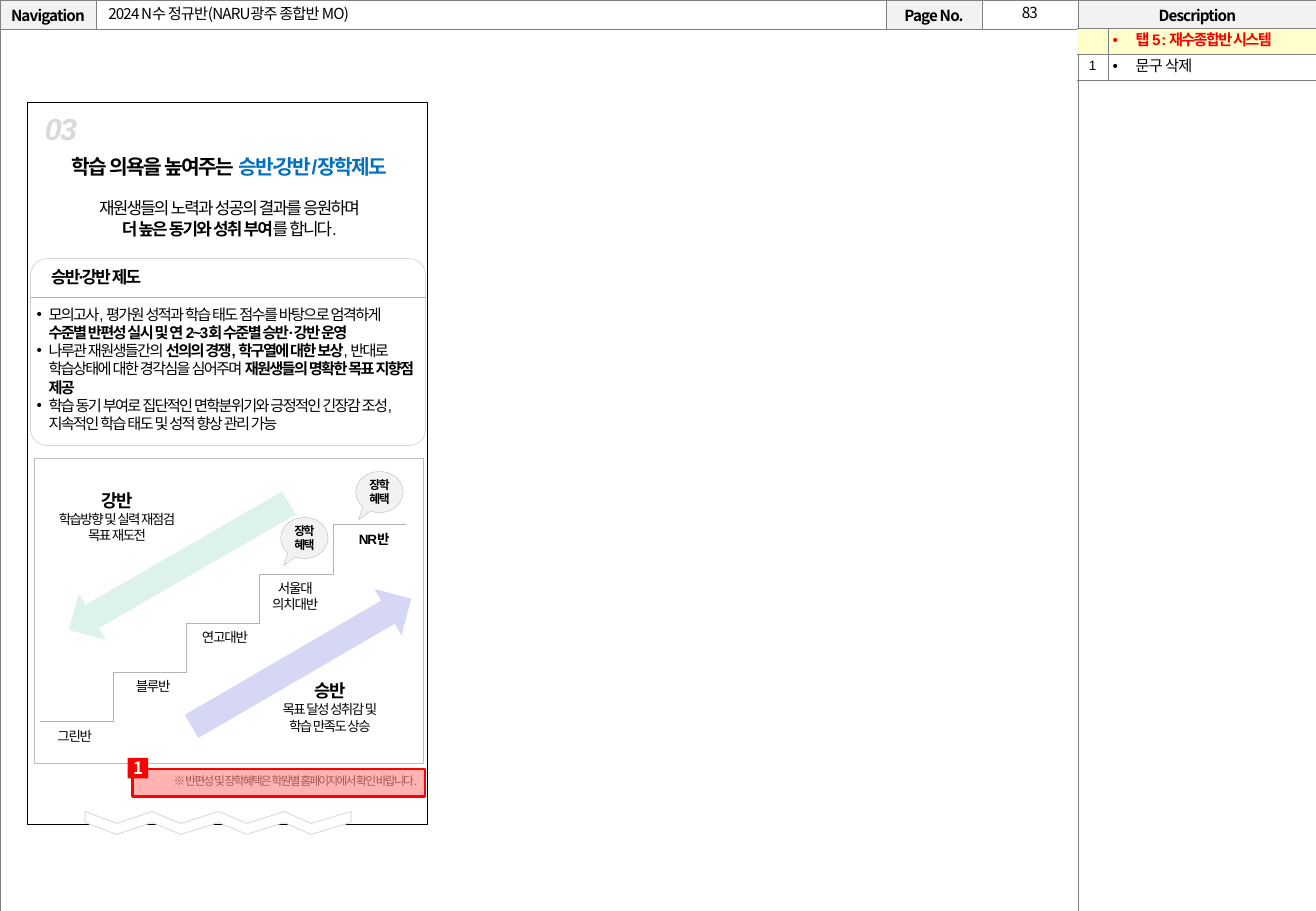
from dataclasses import dataclass
from typing import Optional, Sequence

from lxml.etree import SubElement
from pptx import Presentation
from pptx.dml.color import RGBColor
from pptx.enum.shapes import MSO_CONNECTOR, MSO_SHAPE
from pptx.enum.text import MSO_ANCHOR, MSO_AUTO_SIZE, PP_ALIGN
from pptx.oxml.ns import qn
from pptx.util import Cm, Pt

COLORS = {
    "black": "000000", "white": "FFFFFF", "header": "F2F2F2", "border": "808080",
    "panel": "BFBFBF", "stair": "B2B2B2", "up": "D6D6F5", "down": "DDF3EA",
    "blue": "0070C0", "red": "FF0000", "yellow": "FFFFCC", "pale": "D9D9D9",
}
NOTO = "Noto Sans CJK KR"
STAIR_LEFT, STAIR_BOTTOM, STEP_WIDTH, STEP_HEIGHT = 0.84, 15.09, 1.53, 1.03


@dataclass
class Run:
    text: str
    bold: Optional[bool] = None
    color: Optional[str] = None


@dataclass
class Line:
    runs: Sequence[Run]
    size: float
    bold: bool = False
    italic: bool = False
    color: str = "black"
    font: str = "Arial"
    spacing: float = -1
    align: PP_ALIGN = PP_ALIGN.CENTER
    before: float = 0
    line_spacing: Optional[float] = None
    indent: float = 0


@dataclass
class Box:
    left: float
    top: float
    width: float
    height: float

    def lengths(self) -> list:
        return [Cm(value) for value in (self.left, self.top, self.width, self.height)]


@dataclass
class StairLabel:
    left: float
    names: Sequence[str]
    bold: bool = False


@dataclass
class Direction:
    arrow: Box
    rotation: float
    color: str
    caption: Box
    texts: Sequence[str]


def rgb(name: str) -> RGBColor:
    return RGBColor.from_string(COLORS[name])


def plain(text: str, size: float, **options) -> Line:
    return Line([Run(text)], size, **options)


def write(frame, lines: Sequence[Line]) -> None:
    for index, line in enumerate(lines):
        paragraph = frame.paragraphs[0] if index == 0 else frame.add_paragraph()
        paragraph.alignment = line.align
        paragraph.space_before = Pt(line.before)
        if line.line_spacing:
            paragraph.line_spacing = line.line_spacing
        if line.indent:
            properties = paragraph._p.get_or_add_pPr()
            properties.set("marL", str(Cm(line.indent)))
            properties.set("indent", str(-Cm(line.indent)))
            SubElement(properties, qn("a:buFont")).set("typeface", "Arial")
            SubElement(properties, qn("a:buChar")).set("char", "•")
        font = paragraph.font
        font.name, font.size = line.font, Pt(line.size)
        font.bold, font.italic = line.bold, line.italic
        font.color.rgb = rgb(line.color)
        font._rPr.set("spc", str(round(line.spacing * 100)))
        SubElement(font._rPr, qn("a:ea")).set("typeface", line.font)
        for piece in line.runs:
            run = paragraph.add_run()
            run.text = piece.text
            if piece.bold is not None:
                run.font.bold = piece.bold
            if piece.color:
                run.font.color.rgb = rgb(piece.color)


def set_margins(target, side: float, end: float) -> None:
    target.margin_left = target.margin_right = Cm(side)
    target.margin_top = target.margin_bottom = Cm(end)


def add_text(slide, box: Box, lines: Sequence[Line]) -> None:
    frame = slide.shapes.add_textbox(*box.lengths()).text_frame
    frame.word_wrap = True
    write(frame, lines)


def paint(shape, fill: Optional[str], line: Optional[str], width: float = 0.25):
    shape.shadow.inherit = False
    if fill:
        shape.fill.solid()
        shape.fill.fore_color.rgb = rgb(fill)
    else:
        shape.fill.background()
    if line:
        shape.line.color.rgb = rgb(line)
        shape.line.width = Pt(width)
    else:
        shape.line.fill.background()
    return shape


def add_shape(slide, kind: MSO_SHAPE, box: Box, fill: Optional[str],
              line: Optional[str] = None, width: float = 0.25):
    return paint(slide.shapes.add_shape(kind, *box.lengths()), fill, line, width)


def add_line(slide, kind: MSO_CONNECTOR, *ends: float) -> None:
    connector = slide.shapes.add_connector(kind, *[Cm(end) for end in ends])
    connector.line.color.rgb = rgb("stair")
    connector.line.width = Pt(0.25)
    SubElement(connector.element.spPr, qn("a:effectLst"))


def add_table(slide, box: Box, columns: Sequence[float], rows: Sequence[float]):
    table = slide.shapes.add_table(len(rows), len(columns), *box.lengths()).table
    table.first_row = table.horz_banding = False
    for column, width in zip(table.columns, columns):
        column.width = Cm(width)
    for row, height in zip(table.rows, rows):
        row.height = Cm(height)
    return table


def style_cell(cell, fill: Optional[str], margin: float, line: Optional[Line],
               sides: str = "LRTB") -> None:
    properties = cell._tc.get_or_add_tcPr()
    for side in "LRTB":
        edge = SubElement(properties, qn(f"a:ln{side}"))
        edge.set("w", str(Pt(0.25)))
        if side in sides:
            solid = SubElement(edge, qn("a:solidFill"))
            SubElement(solid, qn("a:srgbClr")).set("val", COLORS["border"])
        else:
            SubElement(edge, qn("a:noFill"))
    if fill:
        cell.fill.solid()
        cell.fill.fore_color.rgb = rgb(fill)
    else:
        cell.fill.background()
    set_margins(cell, margin, margin)
    cell.vertical_anchor = MSO_ANCHOR.MIDDLE
    if line:
        write(cell.text_frame, [line])
    else:
        cell.text_frame.paragraphs[0]._p.get_or_add_endParaRPr().set("sz", "800")


def place(slide, placeholder, box: Box, lines: Sequence[Line], anchor: MSO_ANCHOR) -> None:
    placeholder.left, placeholder.top, placeholder.width, placeholder.height = box.lengths()
    frame = placeholder.text_frame
    frame.auto_size, frame.vertical_anchor = MSO_AUTO_SIZE.NONE, anchor
    write(frame, lines)
    slide.shapes.element.append(placeholder.element)


def draw_navigation(slide) -> None:
    table = add_table(slide, Box(0, 0, 27.53, 19.07), [2, 16.52, 2.01, 2, 5], [0.61, 18.46])
    for cell, label in zip(table.rows[0].cells, ["Navigation", "", "Page No.", "", "Description"]):
        line = plain(label, 9, bold=True, font=NOTO, spacing=-0.5) if label else None
        style_cell(cell, "header" if label else "white", 0, line)
    table.cell(1, 0).merge(table.cell(1, 3))
    for cell in table.rows[1].cells:
        style_cell(cell, "white", 0, None)
    add_text(slide, Box(20.55, -0.05, 1.96, 0.64), [plain("83", 9, font=NOTO, spacing=-0.5)])
    place(slide, slide.shapes.title, Box(2.01, 0, 16.56, 0.58),
          [plain("2024 N수 정규반(NARU광주 종합반 MO)", 9, font=NOTO, spacing=-0.5,
                 align=PP_ALIGN.LEFT)], MSO_ANCHOR.MIDDLE)


def draw_stairs(slide) -> None:
    add_shape(slide, MSO_SHAPE.RECTANGLE, Box(0.71, 9.58, 8.13, 6.38), "white", "panel")
    labels = [StairLabel(0.7, ["그린반"]), StairLabel(2.34, ["블루반"]),
              StairLabel(3.84, ["연고대반"]), StairLabel(5.31, ["서울대", "의치대반"]),
              StairLabel(6.96, ["NR반"], True)]
    for step, label in enumerate(labels):
        left, top = STAIR_LEFT + STEP_WIDTH * step, STAIR_BOTTOM - STEP_HEIGHT * step
        if step < len(labels) - 1:
            add_line(slide, MSO_CONNECTOR.ELBOW, left, top, left + 2 * STEP_WIDTH, top - STEP_HEIGHT)
        add_text(slide, Box(label.left, top, 1.73, 0.61),
                 [plain(name, 8, bold=label.bold, spacing=-0.8) for name in label.names])
    directions = [
        Direction(Box(5.74, 11.2, 1.12, 5.31), 59.8, "up", Box(5.21, 14.1, 3.38, 1.4),
                  ["승반", "목표 달성 성취감 및", "학습 만족도 상승"]),
        Direction(Box(3.18, 9.19, 1.12, 5.31), 240, "down", Box(0.76, 10.11, 3.38, 1.4),
                  ["강반", "학습방향 및 실력 재점검", "목표 재도전"]),
    ]
    for direction in directions:
        arrow = add_shape(slide, MSO_SHAPE.UP_ARROW, direction.arrow, direction.color)
        arrow.rotation = direction.rotation
        heading, *details = direction.texts
        add_text(slide, direction.caption,
                 [plain(heading, 10.5, bold=True)] + [plain(text, 8) for text in details])
    for left, top in [(7.44, 9.86), (5.87, 10.82)]:
        bubble = add_shape(slide, MSO_SHAPE.OVAL_CALLOUT, Box(left, top, 0.99, 0.86), "header", "panel")
        bubble.adjustments[0], bubble.adjustments[1] = -0.441, 0.674
        bubble.text_frame.word_wrap = False
        bubble.text_frame.vertical_anchor = MSO_ANCHOR.MIDDLE
        write(bubble.text_frame, [plain(text, 7, bold=True, spacing=-0.8) for text in ("장학", "혜택")])


def draw_mobile_page(slide, body) -> None:
    add_text(slide, Box(0.3, 3.1, 8.99, 2.06), [
        Line([Run("학습 의욕을 높여주는 "), Run("승반∙강반/장학제도", color="blue")], 12, bold=True),
        plain("재원생들의 노력과 성공의 결과를 응원하며", 10, before=11.5),
        Line([Run("더 높은 동기와 성취 부여", True), Run("를 합니다.")], 10)])
    card = add_shape(slide, MSO_SHAPE.ROUNDED_RECTANGLE, Box(0.64, 5.41, 8.26, 3.91), "white", "panel")
    card.adjustments[0] = 0.088
    add_line(slide, MSO_CONNECTOR.STRAIGHT, 0.64, 6.22, 8.9, 6.22)
    add_text(slide, Box(0.03, 5.46, 3.96, 0.69), [plain("승반∙강반 제도", 10, bold=True)])
    add_shape(slide, MSO_SHAPE.RECTANGLE, Box(0.58, 2.13, 8.36, 15.11), None, "black")
    bends = [1.78, 2.44, 3.18, 3.78, 4.57, 5.16, 5.94, 6.5, 7.34]
    lower = [(Cm(x), Cm(17.45 if index % 2 else 17.2)) for index, x in enumerate(bends)]
    upper = [(x, y - Cm(0.23)) for x, y in reversed(lower)]
    builder = slide.shapes.build_freeform(*lower[0], scale=1.0)
    builder.add_line_segments(lower[1:] + upper, close=True)
    paint(builder.convert_to_shape(), "white", "pale", 0.5)
    add_text(slide, Box(0.69, 2.18, 2.21, 1.02),
             [plain("03", 18, bold=True, italic=True, color="pale", align=PP_ALIGN.LEFT)])
    add_text(slide, Box(2.44, 16.05, 6.53, 0.56),
             [plain("※ 반편성 및 장학혜택은 학원별 홈페이지에서 확인 바랍니다.", 7,
                    color="border", align=PP_ALIGN.RIGHT)])
    bullets = [
        [Run("모의고사, 평가원 성적과 학습 태도 점수를 바탕으로 엄격하게 "),
         Run("수준별 반편성 실시 및 연 2~3회 수준별 승반·강반 운영", True)],
        [Run("나루관 재원생들간의 "), Run("선의의 경쟁, 학구열에 대한 보상", True),
         Run(", 반대로 학습상태에 대한 경각심을 심어주며 "),
         Run("재원생들의 명확한 목표 지향점 제공", True)],
        [Run("학습 동기 부여로 집단적인 면학분위기와 긍정적인 긴장감 조성, "
             "지속적인 학습 태도 및 성적 향상 관리 가능")],
    ]
    place(slide, body, Box(0.51, 6.25, 8.41, 2.95),
          [Line(runs, 9, align=PP_ALIGN.LEFT, indent=0.25) for runs in bullets], MSO_ANCHOR.TOP)


def draw_description(slide) -> None:
    table = add_table(slide, Box(22.52, 0.58, 5, 1.08), [0.64, 4.36], [0.54, 0.54])
    item = {"align": PP_ALIGN.LEFT, "line_spacing": 0.9, "indent": 0.48}
    rows = [("yellow", None, plain("탭 5 : 재수종합반 시스템", 9, bold=True, color="red", **item)),
            (None, plain("1", 8, line_spacing=0.9), plain("문구 삭제", 9, spacing=-0.5, **item))]
    for row, (fill, number, note) in zip(table.rows, rows):
        style_cell(row.cells[0], fill, 0.1, number, "RTB")
        style_cell(row.cells[1], fill, 0.1, note)


def draw_marker(slide) -> None:
    highlight = add_shape(slide, MSO_SHAPE.RECTANGLE, Box(2.77, 16.08, 6.12, 0.58), "red", "red", 1.5)
    SubElement(highlight.element.find(".//" + qn("a:srgbClr")), qn("a:alpha")).set("val", "30000")
    badge = add_shape(slide, MSO_SHAPE.RECTANGLE, Box(2.67, 15.85, 0.43, 0.43), "red")
    set_margins(badge.text_frame, 0, 0)
    badge.text_frame.vertical_anchor = MSO_ANCHOR.MIDDLE
    write(badge.text_frame, [plain("1", 10, bold=True, color="white", font=NOTO, spacing=0)])


def main() -> None:
    presentation = Presentation()
    presentation.slide_width, presentation.slide_height = Cm(27.51), Cm(19.05)
    slide = presentation.slides.add_slide(presentation.slide_layouts[1])
    body = slide.placeholders[1]
    draw_navigation(slide)
    draw_stairs(slide)
    draw_mobile_page(slide, body)
    draw_description(slide)
    draw_marker(slide)
    presentation.save("out.pptx")


if __name__ == "__main__":
    main()
